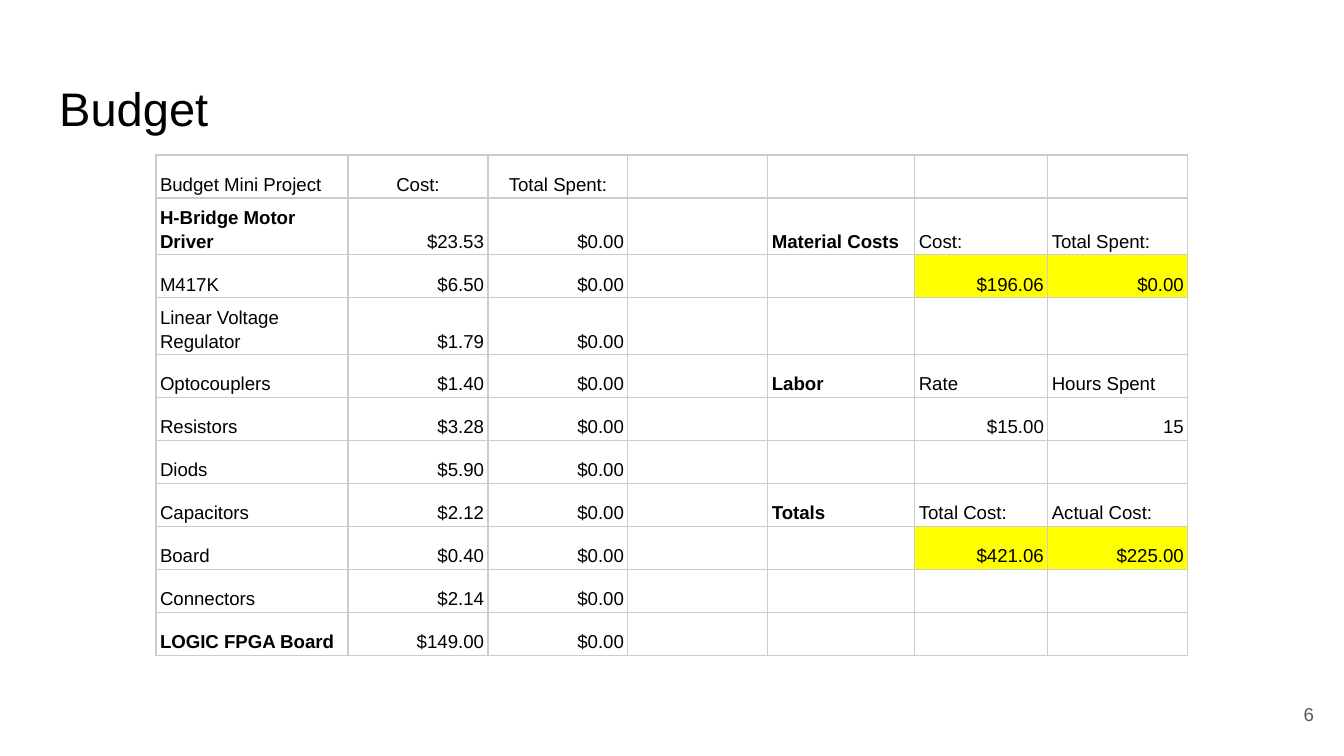
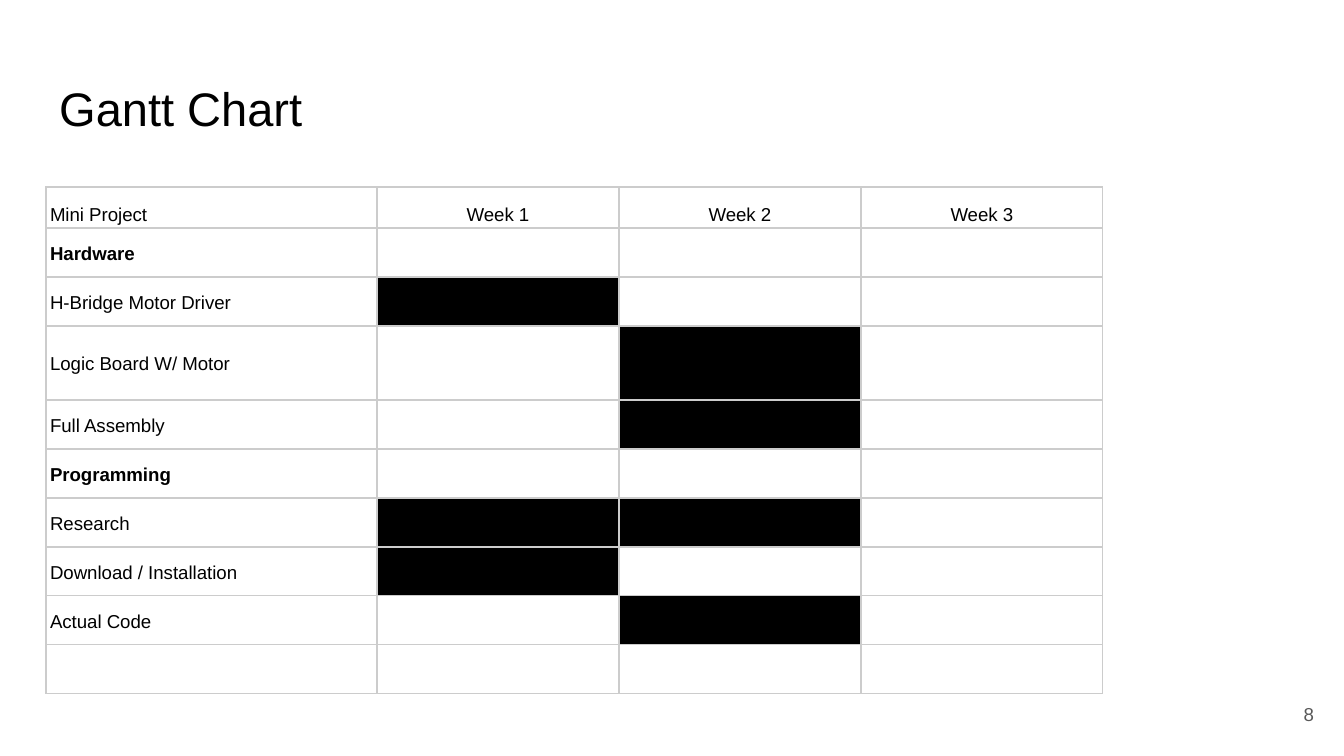
from lxml import etree
from pptx import Presentation
from pptx import util as u
from pptx.dml.color import RGBColor
from pptx.enum import text
from pptx.oxml import ns

EMU_PER_PIXEL = 914400 / 134.4
BLACK = RGBColor(0x00, 0x00, 0x00)
GREY = RGBColor(0x59, 0x59, 0x59)
GRID = RGBColor(0xCC, 0xCC, 0xCC)
YELLOW = RGBColor(0xFF, 0xFF, 0x00)
FONT = "Arial"
BODY_SIZE = 10
LEFT, CENTER, RIGHT = (text.PP_ALIGN.LEFT, text.PP_ALIGN.CENTER,
                       text.PP_ALIGN.RIGHT)
TOP, MIDDLE, BOTTOM = (text.MSO_ANCHOR.TOP, text.MSO_ANCHOR.MIDDLE,
                       text.MSO_ANCHOR.BOTTOM)


def px(length):
    """Turn pixels into EMU."""
    return u.Emu(round(length * EMU_PER_PIXEL))


def write(frame, words, size=BODY_SIZE, color=BLACK, bold=False, align=LEFT,
          spacing=None):
    """Put one formatted paragraph into a text frame."""
    para = frame.paragraphs[0]
    para.alignment = align
    para.line_spacing = spacing
    if not words:
        # An empty paragraph keeps the text size, so its row does not grow.
        etree.SubElement(para._p, ns.qn("a:endParaRPr"), sz=str(size * 100))
        return
    span = para.add_run()
    span.text = words
    span.font.name = FONT
    span.font.size = u.Pt(size)
    span.font.bold = bold
    span.font.color.rgb = color


def draw_borders(cell):
    """Give a cell thin grey lines on all four sides."""
    props = cell._tc.get_or_add_tcPr()
    for side in ("lnL", "lnR", "lnT", "lnB"):
        line = etree.SubElement(props, ns.qn("a:" + side),
                                w=str(u.Pt(0.75)))
        fill = etree.SubElement(line, ns.qn("a:solidFill"))
        etree.SubElement(fill, ns.qn("a:srgbClr"), val=str(GRID))


class Slides:
    """Holds the deck, its style and the current page."""

    def __init__(self):
        """Start an empty widescreen deck."""
        self.deck = Presentation()
        self.deck.slide_width = px(1344)
        self.deck.slide_height = px(756)
        self.page = None

    def add_page(self, title, number):
        """Start a page with its title and page number."""
        self.page = self.deck.slides.add_slide(self.deck.slide_layouts[6])
        self.add_text(title, 46, 66, 1252, 84, size=25.2)
        self.add_text(str(number), 1246, 685, 81, 58, anchor=MIDDLE,
                      color=GREY, align=RIGHT)

    def add_text(self, words, left, top, width, height, anchor=TOP, **style):
        """Add a text box."""
        box = self.page.shapes.add_textbox(px(left), px(top), px(width),
                                           px(height))
        frame = box.text_frame
        frame.word_wrap = True
        frame.vertical_anchor = anchor
        frame.margin_left = frame.margin_right = u.Inches(0.1)
        frame.margin_top = frame.margin_bottom = u.Inches(0.1)
        write(frame, words, **style)

    def add_table(self, left, top, widths, heights, rows, style_of):
        """Add a grid; style_of(row, column, words) gives anchor, fill, text."""
        table = self.page.shapes.add_table(
            len(heights), len(widths), px(left), px(top), px(sum(widths)),
            px(sum(heights))).table
        table.first_row = table.horz_banding = False
        for column, width in zip(table.columns, widths):
            column.width = px(width)
        for r, (height, row) in enumerate(zip(heights, rows)):
            table.rows[r].height = px(height)
            for c in range(len(widths)):
                words = row[c] if c < len(row) else ""
                anchor, fill, style = style_of(r, c, words)
                self.fill_cell(table.cell(r, c), words, anchor, fill, style)

    def fill_cell(self, cell, words, anchor, fill, style):
        """Set the lines, fill and text of one cell."""
        draw_borders(cell)
        if fill is None:
            cell.fill.background()
        else:
            cell.fill.solid()
            cell.fill.fore_color.rgb = fill
        cell.margin_left = cell.margin_right = u.Inches(0.03)
        cell.margin_top = cell.margin_bottom = u.Inches(0.02)
        cell.vertical_anchor = anchor
        write(cell.text_frame, words, spacing=1.15, **style)


# Parts with their cost, then the summary block beside them.
PARTS = [
    ("H-Bridge Motor Driver", "$23.53",
     ("Material Costs", "Cost:", "Total Spent:")),
    ("M417K", "$6.50", ("", "$196.06", "$0.00")),
    ("Linear Voltage Regulator", "$1.79", ()),
    ("Optocouplers", "$1.40", ("Labor", "Rate", "Hours Spent")),
    ("Resistors", "$3.28", ("", "$15.00", "15")),
    ("Diods", "$5.90", ()),
    ("Capacitors", "$2.12", ("Totals", "Total Cost:", "Actual Cost:")),
    ("Board", "$0.40", ("", "$421.06", "$225.00")),
    ("Connectors", "$2.14", ()),
    ("LOGIC FPGA Board", "$149.00", ()),
]
BUDGET_BOLD = {"H-Bridge Motor Driver", "Material Costs", "Labor", "Totals",
               "LOGIC FPGA Board"}
SUM_ROWS = {2, 8}
TWO_LINE_ROWS = {1, 3}

# Tasks with the weeks in which they run.
TASKS = [
    ("Hardware", ()),
    ("H-Bridge Motor Driver", (1,)),
    ("Logic Board W/ Motor", (2,)),
    ("Full Assembly", (2,)),
    ("Programming", ()),
    ("Research", (1, 2)),
    ("Download / Installation", (1,)),
    ("Actual Code", (2,)),
    ("", ()),
]
PHASES = {"Hardware", "Programming"}


def budget_style(r, c, words):
    """Right-align amounts, centre headings, mark the sums yellow."""
    align = LEFT
    if words.startswith("$") or words.isdigit():
        align = RIGHT
    elif r == 0 and c > 0:
        align = CENTER
    fill = YELLOW if r in SUM_ROWS and c >= 5 else None
    return BOTTOM, fill, {"align": align, "bold": words in BUDGET_BOLD}


def gantt_style(r, c, words):
    """Blacken the weeks in which a task runs."""
    busy = r > 0 and c in TASKS[r - 1][1]
    return (MIDDLE if r else BOTTOM, BLACK if busy else None,
            {"align": CENTER if c else LEFT, "bold": words in PHASES})


def add_budget(slides):
    """Build the budget page."""
    slides.add_page("Budget", 6)
    rows = [("Budget Mini Project", "Cost:", "Total Spent:")]
    rows += [(part, cost, "$0.00", "", *summary)
             for part, cost, summary in PARTS]
    heights = [54 if r in TWO_LINE_ROWS else 43 for r in range(len(rows))]
    slides.add_table(156, 155, [192, 140, 140, 140, 147, 133, 140], heights,
                     rows, budget_style)


def add_gantt(slides):
    """Build the Gantt chart page."""
    slides.add_page("Gantt Chart", 8)
    rows = [("Mini Project", "Week 1", "Week 2", "Week 3")]
    rows += [(task,) for task, weeks in TASKS]
    heights = [41, 49, 49, 74] + [49] * 6
    slides.add_table(46, 187, [331] + [242] * 3, heights, rows, gantt_style)


slides = Slides()
add_budget(slides)
add_gantt(slides)
slides.deck.save("out.pptx")
